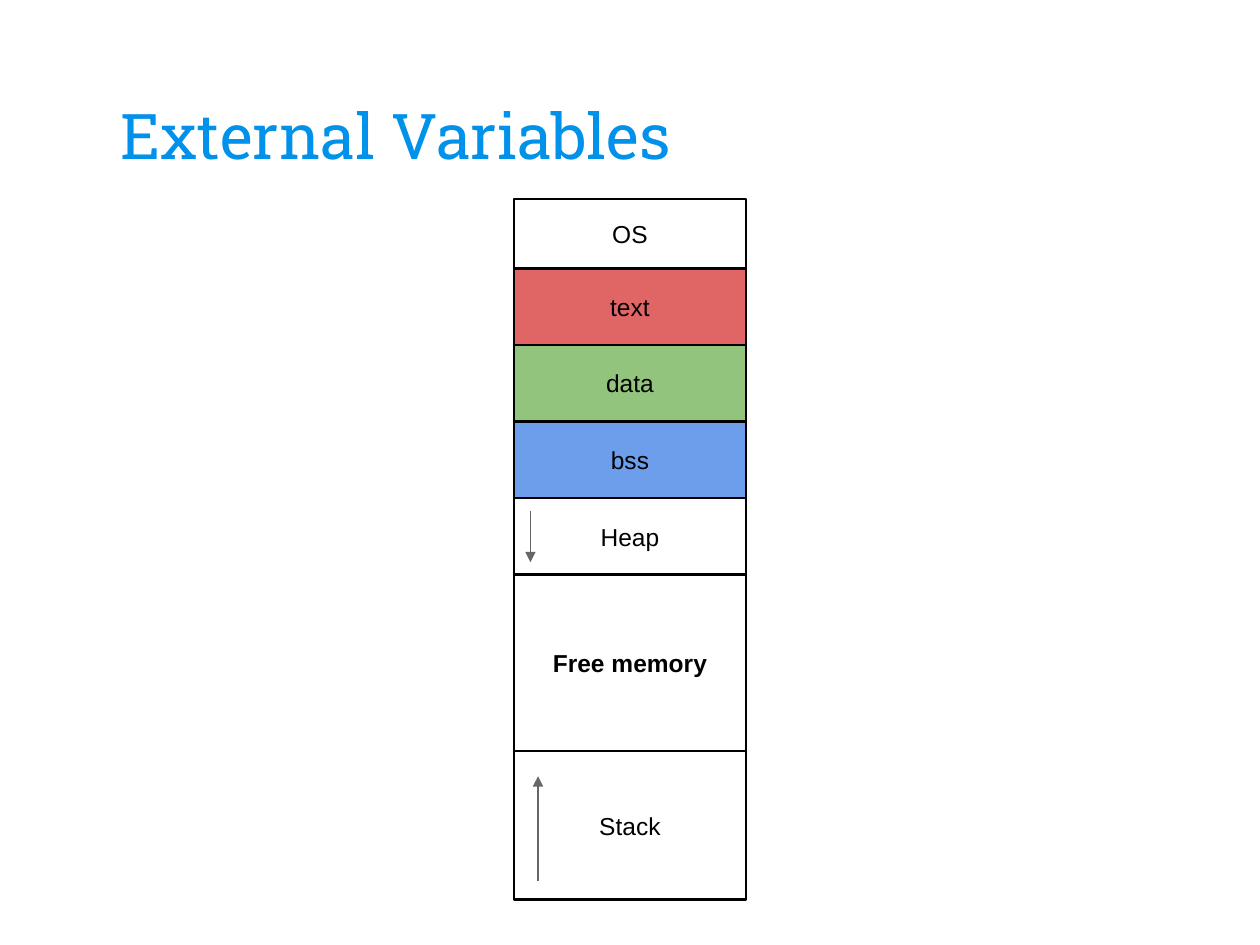
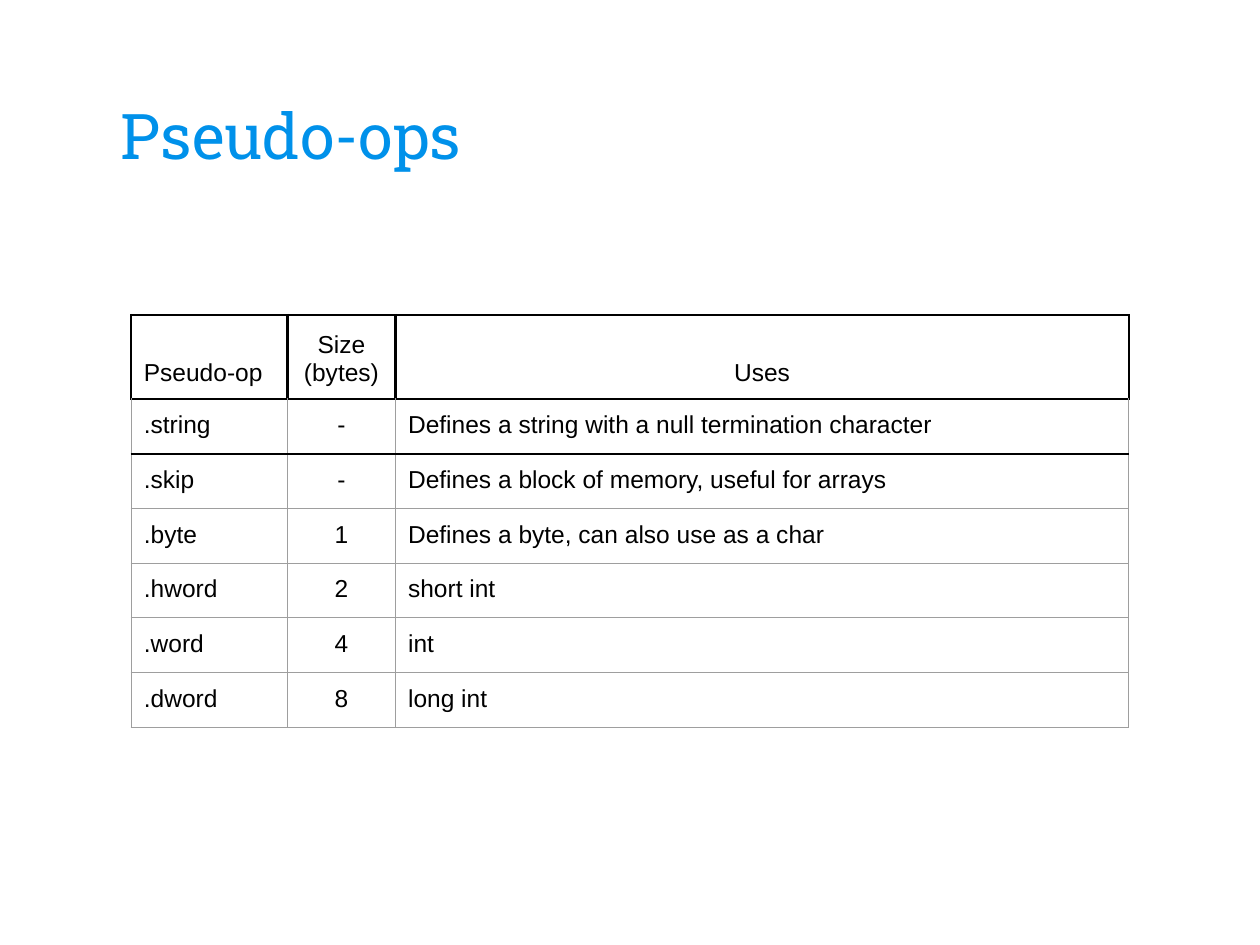
from lxml.etree import SubElement
from pptx import Presentation
from pptx.dml.color import RGBColor
from pptx.enum.shapes import MSO_CONNECTOR, MSO_SHAPE
from pptx.enum.text import MSO_ANCHOR, PP_ALIGN
from pptx.oxml.ns import qn
from pptx.util import Pt

COLORS = {
    "title": "0091EA", "ink": "000000", "arrow": "666666", "grid": "9E9E9E",
    "text": "E06666", "data": "93C47D", "bss": "6D9EEB",
}
TITLE_FONT, BODY_FONT = "Roboto Slab", "Arial"
INSET = 7.2
HEAVY, LIGHT = ("ink", 1.5), ("grid", 0.75)

# label, height, and the growth arrow as (x, start, end) within the segment
SEGMENTS = [
    ("OS", 39.6, None),
    ("text", 43.75, None),
    ("data", 43.75, None),
    ("bss", 43.75, None),
    ("Heap", 43.75, (9.4, 7.2, 36.7)),
    ("Free memory", 100.8, None),
    ("Stack", 85, (13.7, 74.2, 14.4)),
]
MEMORY_LEFT, MEMORY_TOP, MEMORY_WIDTH = 293.75, 113.75, 132.5

PSEUDO_OPS = [
    ("Pseudo-op", "Size (bytes)", "Uses"),
    (".string", "-", "Defines a string with a null termination character"),
    (".skip", "-", "Defines a block of memory, useful for arrays"),
    (".byte", "1", "Defines a byte, can also use as a char"),
    (".hword", "2", "short int"),
    (".word", "4", "int"),
    (".dword", "8", "long int"),
]
OPS_LEFT, OPS_TOP = 75, 180
COLUMN_WIDTHS = [89.3, 61.7, 419]
HEADER_HEIGHT, ROW_HEIGHT = 45.7, 30.1
HEAVY_RULES = 3  # the horizontal rules above, below the header and below .string


def rgb(name):
    return RGBColor.from_string(COLORS[name])


def write(frame, text, size=14, font=BODY_FONT, color="ink", bold=False,
          align=PP_ALIGN.LEFT):
    paragraph = frame.paragraphs[0]
    paragraph.alignment = align
    run = paragraph.add_run()
    run.text = text
    run.font.size = Pt(size)
    run.font.name = font
    run.font.bold = bold
    run.font.color.rgb = rgb(color)


def set_insets(holder):
    """Give a text frame or a table cell the common margins."""
    holder.margin_left = holder.margin_right = Pt(INSET)
    holder.margin_top = holder.margin_bottom = Pt(INSET)


def add_titled_slide(deck, title):
    slide = deck.slides.add_slide(deck.slide_layouts[6])
    frame = slide.shapes.add_textbox(Pt(62), Pt(32.4), Pt(596), Pt(73.4)).text_frame
    frame.word_wrap = True
    frame.vertical_anchor = MSO_ANCHOR.BOTTOM
    set_insets(frame)
    write(frame, title, size=36, font=TITLE_FONT, color="title")
    return slide


def add_segment(slide, top, height, label):
    box = slide.shapes.add_shape(MSO_SHAPE.RECTANGLE, Pt(MEMORY_LEFT), Pt(top),
                                 Pt(MEMORY_WIDTH), Pt(height))
    box.shadow.inherit = False
    box.line.color.rgb = rgb("ink")
    box.line.width = Pt(1.5)
    if label in COLORS:
        box.fill.solid()
        box.fill.fore_color.rgb = rgb(label)
    else:
        box.fill.background()
    frame = box.text_frame
    frame.vertical_anchor = MSO_ANCHOR.MIDDLE
    set_insets(frame)
    write(frame, label, bold=label == "Free memory", align=PP_ALIGN.CENTER)


def add_growth_arrow(slide, x, start, end):
    arrow = slide.shapes.add_connector(MSO_CONNECTOR.STRAIGHT,
                                       Pt(x), Pt(start), Pt(x), Pt(end))
    arrow.line.color.rgb = rgb("arrow")
    arrow.line.width = Pt(0.75)
    SubElement(arrow.line._get_or_add_ln(), qn("a:tailEnd"), type="triangle")
    SubElement(arrow._element.spPr, qn("a:effectLst"))


def set_borders(cell, **edges):
    """Draw cell edges, given in the order L, R, T, B as (colour, width)."""
    properties = cell._tc.get_or_add_tcPr()
    for side, (color, width) in edges.items():
        line = SubElement(properties, qn(f"a:ln{side}"), w=str(Pt(width)))
        fill = SubElement(line, qn("a:solidFill"))
        SubElement(fill, qn("a:srgbClr"), val=COLORS[color])


def add_memory_slide(deck):
    slide = add_titled_slide(deck, "External Variables")
    top = MEMORY_TOP
    for label, height, arrow in SEGMENTS:
        add_segment(slide, top, height, label)
        if arrow:
            x, start, end = arrow
            add_growth_arrow(slide, MEMORY_LEFT + x, top + start, top + end)
        top += height


def add_pseudo_ops_slide(deck):
    slide = add_titled_slide(deck, "Pseudo-ops")
    heights = [HEADER_HEIGHT] + [ROW_HEIGHT] * (len(PSEUDO_OPS) - 1)
    table = slide.shapes.add_table(
        len(PSEUDO_OPS), len(COLUMN_WIDTHS), Pt(OPS_LEFT), Pt(OPS_TOP),
        Pt(sum(COLUMN_WIDTHS)), Pt(sum(heights))).table
    table.first_row = table.horz_banding = False
    for column, width in zip(table.columns, COLUMN_WIDTHS):
        column.width = Pt(width)
    rules = [HEAVY if i < HEAVY_RULES else LIGHT for i in range(len(heights) + 1)]
    for r, entries in enumerate(PSEUDO_OPS):
        table.rows[r].height = Pt(heights[r])
        is_header = r == 0
        side = HEAVY if is_header else LIGHT
        for c, entry in enumerate(entries):
            cell = table.cell(r, c)
            set_insets(cell)
            cell.vertical_anchor = MSO_ANCHOR.BOTTOM if is_header else MSO_ANCHOR.TOP
            set_borders(cell, L=side, R=side, T=rules[r], B=rules[r + 1])
            cell.fill.background()
            centred = c == 1 or (is_header and c == 2)
            write(cell.text_frame, entry,
                  align=PP_ALIGN.CENTER if centred else PP_ALIGN.LEFT)


def main():
    deck = Presentation()
    deck.slide_width, deck.slide_height = Pt(720), Pt(540)
    add_memory_slide(deck)
    add_pseudo_ops_slide(deck)
    deck.save("out.pptx")


if __name__ == "__main__":
    main()
